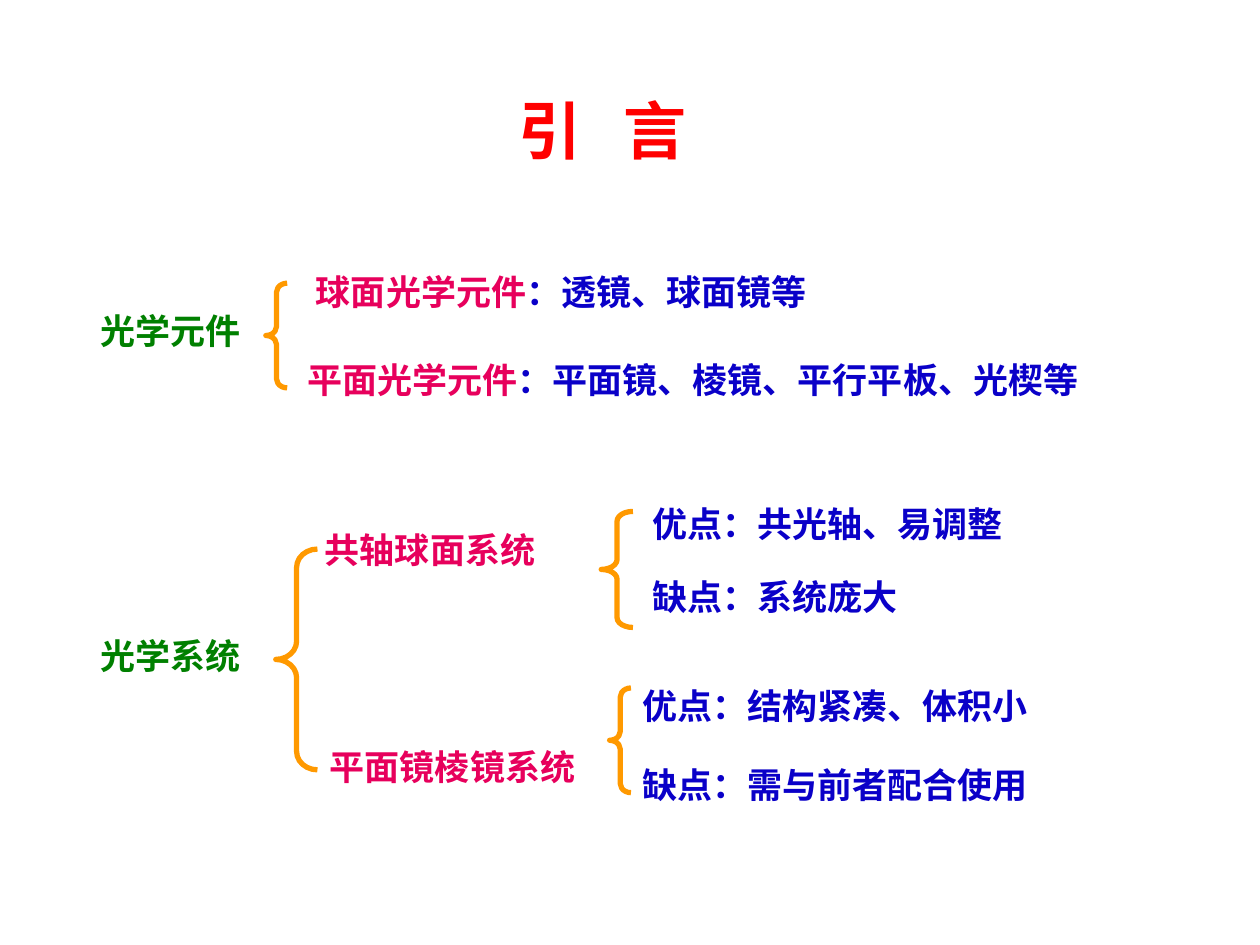
from collections import namedtuple

from lxml.etree import SubElement
from pptx import Presentation
from pptx.dml.color import RGBColor
from pptx.enum.shapes import MSO_SHAPE
from pptx.enum.text import MSO_ANCHOR, MSO_AUTO_SIZE, PP_ALIGN
from pptx.oxml.ns import qn
from pptx.util import Cm, Pt

RED = RGBColor(0xFF, 0x00, 0x00)
GREEN = RGBColor(0x00, 0x80, 0x00)
PINK = RGBColor(0xE7, 0x00, 0x5C)
BLUE = RGBColor(0x0A, 0x00, 0xC8)
ORANGE = RGBColor(0xFF, 0x99, 0x00)
FONT = "Noto Sans CJK SC"
LINE_HEIGHT = 1.12

Box = namedtuple("Box", "left top width height")


def inside(region, left, top, width, height=LINE_HEIGHT):
    return Box(region.left + left, region.top + top, width, height)


def add_span(para, text, color, size=20):
    span = para.add_run()
    span.text = text
    values = {"name": FONT, "size": Pt(size), "bold": True}
    for name, value in values.items():
        setattr(span.font, name, value)
    span.font.color.rgb = color
    properties = span._r.get_or_add_rPr()
    SubElement(properties, qn("a:ea"), typeface=FONT)
    return properties


def add_label(page, box, *parts):
    label = page.shapes.add_textbox(*map(Cm, box))
    label.text_frame.word_wrap = True
    for text, color in parts:
        add_span(label.text_frame.paragraphs[0], text, color)


def add_brace(page, box, curve):
    brace = page.shapes.add_shape(MSO_SHAPE.LEFT_BRACE, *map(Cm, box))
    brace.adjustments[0] = curve
    brace.shadow.inherit = False
    brace.fill.background()
    brace.line.color.rgb = ORANGE
    brace.line.width = Pt(3)


def place_title(page, box):
    title = page.shapes.title
    for name, value in box._asdict().items():
        setattr(title, name, Cm(value))
    frame = title.text_frame
    values = {
        "auto_size": MSO_AUTO_SIZE.NONE,
        "vertical_anchor": MSO_ANCHOR.MIDDLE,
        "word_wrap": True,
    }
    for name, value in values.items():
        setattr(frame, name, value)
    para = frame.paragraphs[0]
    para.alignment = PP_ALIGN.CENTER
    add_span(para, "引", RED, 36)
    add_span(para, " ", RED, 36).set("spc", "1600")
    add_span(para, "言", RED, 36)


def place_elements(page, region):
    add_label(page, inside(region, 0, 0.79, 3.38), ("光学元件", GREEN))
    add_brace(page, inside(region, 3.58, 0.38, 0.43, 2.11), 0.42)
    rows = [
        (4.34, 0, 10.54, "球面光学元件", "：透镜、球面镜等"),
        (4.16, 1.78, 16.28, "平面光学元件", "：平面镜、棱镜、平行平板、光楔等"),
    ]
    for left, top, width, kind, examples in rows:
        add_label(page, inside(region, left, top, width), (kind, PINK), (examples, BLUE))


def place_traits(page, region, gap, brace, curve, traits):
    add_brace(page, inside(region, *brace), curve)
    for index, trait in enumerate(traits):
        add_label(page, inside(region, 0, index * gap, region.width), (trait, BLUE))


def place_systems(page, region):
    add_label(page, inside(region, 0, 2.66, 5.08, 1.7), ("光学系统", GREEN))
    add_brace(page, inside(region, 3.78, 1.06, 0.84, 4.45), 0.44)
    add_label(page, inside(region, 4.52, 0.51, 8.26, 1.7), ("共轴球面系统", PINK))
    add_label(page, inside(region, 4.62, 4.9, 8.69, 2.11), ("平面镜棱镜系统", PINK))
    place_traits(
        page, inside(region, 11.12, 0, 8.84, 2.6), 1.47,
        (-0.78, 0.3, 0.64, 2.34), 0.31,
        ["优点：共光轴、易调整", "缺点：系统庞大"],
    )
    place_traits(
        page, inside(region, 10.92, 3.66, 10.7, 2.72), 1.6,
        (-0.41, 0.2, 0.43, 2.11), 0.42,
        ["优点：结构紧凑、体积小", "缺点：需与前者配合使用"],
    )


deck = Presentation()
deck.slide_width, deck.slide_height = Cm(25.4), Cm(19.05)
page = deck.slides.add_slide(deck.slide_layouts.get_by_name("Title Only"))
place_title(page, Box(2.08, 1.83, 20.12, 1.57))
place_elements(page, Box(1.78, 5.33, 20.44, 2.9))
place_systems(page, Box(1.78, 10.01, 21.62, 7.01))
deck.save("out.pptx")
